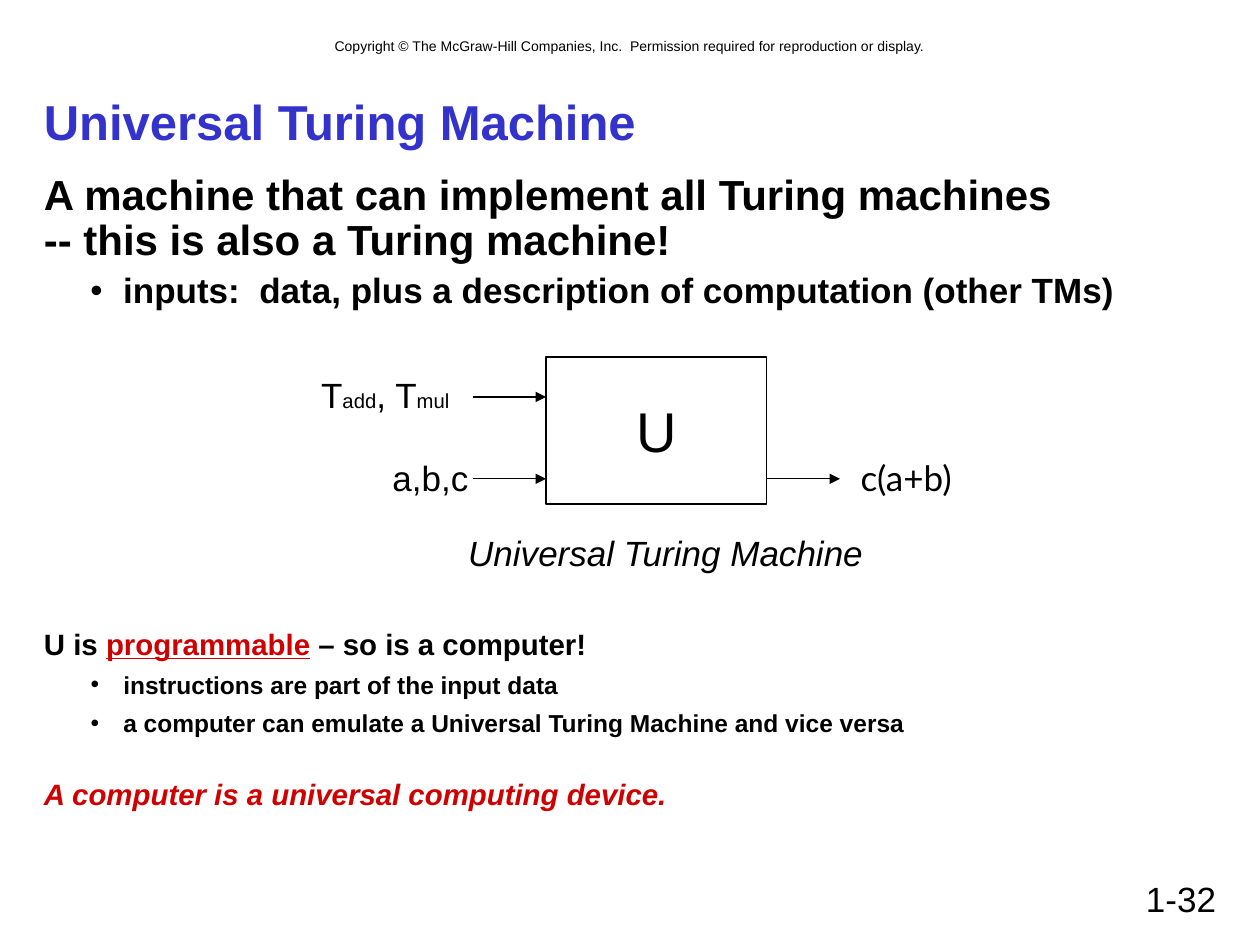
import pptx
import pptx.util
import pptx.dml.color
import pptx.enum.shapes
import pptx.enum.text
import pptx.oxml
import pptx.oxml.ns
import lxml.etree

Pt = pptx.util.Pt
ALIGN = pptx.enum.text.PP_ALIGN
ANCHOR = pptx.enum.text.MSO_ANCHOR
COLORS = {"ink": "000000", "title": "3333CC", "mark": "CE0000"}
UNIT = pptx.util.Inches(1 / 12)  # grid of 120 columns by 90 rows


def rgb(name):
    return pptx.dml.color.RGBColor.from_string(COLORS[name])


def sub(node, tag, **attrs):
    return lxml.etree.SubElement(node, pptx.oxml.ns.qn(tag), **attrs)


def bullet(para):
    props = para._p.get_or_add_pPr()
    props.set("marL", str(pptx.util.Inches(0.63)))
    props.set("indent", str(pptx.util.Inches(-0.26)))
    sub(sub(props, "a:buClr"), "a:srgbClr", val=COLORS["ink"])
    sub(props, "a:buFont", typeface="Arial")
    sub(props, "a:buChar", char="•")


def write(para, text, size=20, face="Arial", color="ink", bold=False,
          italic=False, under=False, base=0, align=ALIGN.LEFT,
          before=0, lead=None, dot=False):
    """Add text to a paragraph; text may be a list of (text, format) runs."""
    if dot:
        bullet(para)
    para.alignment = align
    para.space_before = Pt(before)
    if lead:
        para.line_spacing = lead
    look = dict(size=size, face=face, color=color, bold=bold,
                italic=italic, under=under, base=base)
    runs = [(text, {})] if isinstance(text, str) else text
    for words, extra in runs:
        style = {**look, **extra}
        for n, line in enumerate(words.split("\n")):
            if n:
                para.add_line_break()
            run = para.add_run()
            run.text = line
            font = run.font
            font.size = Pt(style["size"])
            font.name = style["face"]
            font.bold = style["bold"]
            font.italic = style["italic"]
            font.underline = style["under"]
            font.color.rgb = rgb(style["color"])
            if style["base"]:
                run._r.get_or_add_rPr().set("baseline", str(style["base"]))


class Deck:
    """Places elements on the current slide in grid units."""

    def __init__(self):
        self.show = pptx.Presentation()
        self.show.slide_width = UNIT * 120
        self.show.slide_height = UNIT * 90
        self.slide = self.show.slides.add_slide(self.show.slide_layouts[6])

    def spot(self, *cells):
        return [round(cell * UNIT) for cell in cells]

    def fill(self, shape, paras, wrap, anchor):
        frame = shape.text_frame
        frame.word_wrap = wrap
        frame.vertical_anchor = anchor
        for n, (text, style) in enumerate(paras):
            para = frame.add_paragraph() if n else frame.paragraphs[0]
            write(para, text, **style)

    def text(self, cells, *paras, wrap=True, anchor=ANCHOR.TOP):
        shape = self.slide.shapes.add_textbox(*self.spot(*cells))
        self.fill(shape, paras, wrap, anchor)

    def label(self, cells, text, **style):
        self.text(cells, (text, dict(align=ALIGN.CENTER, **style)), wrap=False)

    def box(self, cells, text, **style):
        kind = pptx.enum.shapes.MSO_SHAPE.RECTANGLE
        shape = self.slide.shapes.add_shape(kind, *self.spot(*cells))
        shape.shadow.inherit = False
        shape.fill.background()
        shape.line.color.rgb = rgb("ink")
        shape.line.width = Pt(0.75)
        self.fill(shape, [(text, dict(align=ALIGN.CENTER, **style))],
                  False, ANCHOR.MIDDLE)

    def arrow(self, left, right, row):
        kind = pptx.enum.shapes.MSO_CONNECTOR.STRAIGHT
        line = self.slide.shapes.add_connector(
            kind, *self.spot(left, row, right, row))
        line.line.color.rgb = rgb("ink")
        line.line.width = Pt(0.75)
        sub(line.line._get_or_add_ln(), "a:tailEnd", type="triangle")
        sub(line._element.spPr, "a:effectLst")


def main():
    deck = Deck()
    deck.text((8, 3, 104, 3), (
        "Copyright © The McGraw-Hill Companies, Inc.  "
        "Permission required for reproduction or display.",
        dict(size=8, align=ALIGN.CENTER)))
    deck.text((86, 83, 31, 5), ("1-32", dict(align=ALIGN.RIGHT)))
    deck.text((3, 8, 114, 7), (
        "Universal Turing Machine", dict(size=28, color="title", bold=True)),
        anchor=ANCHOR.MIDDLE)
    deck.text(
        (3, 16, 114, 23.3),
        ("A machine that can implement all Turing machines\n"
         "-- this is also a Turing machine!",
         dict(size=24, bold=True, lead=0.9)),
        ("inputs:  data, plus a description of computation (other TMs)",
         dict(bold=True, lead=0.9, before=5, dot=True)))

    # Machine with its two inputs and one output
    left, right, top, low = 52, 73, 37.8, 45.6
    deck.box((left, 34, right - left, 14), "U", size=32)
    for start, end, row in ((left - 7, left, top), (left - 7, left, low),
                            (right, right + 7, low)):
        deck.arrow(start, end, row)
    small = dict(base=-25)
    deck.label((29.4, 35, 14.6, 5.8),
               [("T", {}), ("add", small), (", T", {}), ("mul", small)])
    deck.label((36.2, 42.9, 9.6, 5.3), "a,b,c")
    deck.label((80.4, 42.9, 11.8, 5.3), "c(a+b)", face="Lato")
    deck.label((43.3, 50, 40.2, 5.3), "Universal Turing Machine", italic=True)

    point = dict(size=14, bold=True, before=5, dot=True)
    deck.text(
        (3, 59, 111, 20),
        ([("U is ", {}), ("programmable", dict(color="mark", under=True)),
          (" – so is a computer!", {})], dict(size=16.8, bold=True)),
        ("instructions are part of the input data", point),
        ("a computer can emulate a Universal Turing Machine and vice versa",
         point),
        ("A computer is a universal computing device.",
         dict(size=16.8, bold=True, italic=True, color="mark", before=22)))
    deck.show.save("out.pptx")


if __name__ == "__main__":
    main()
